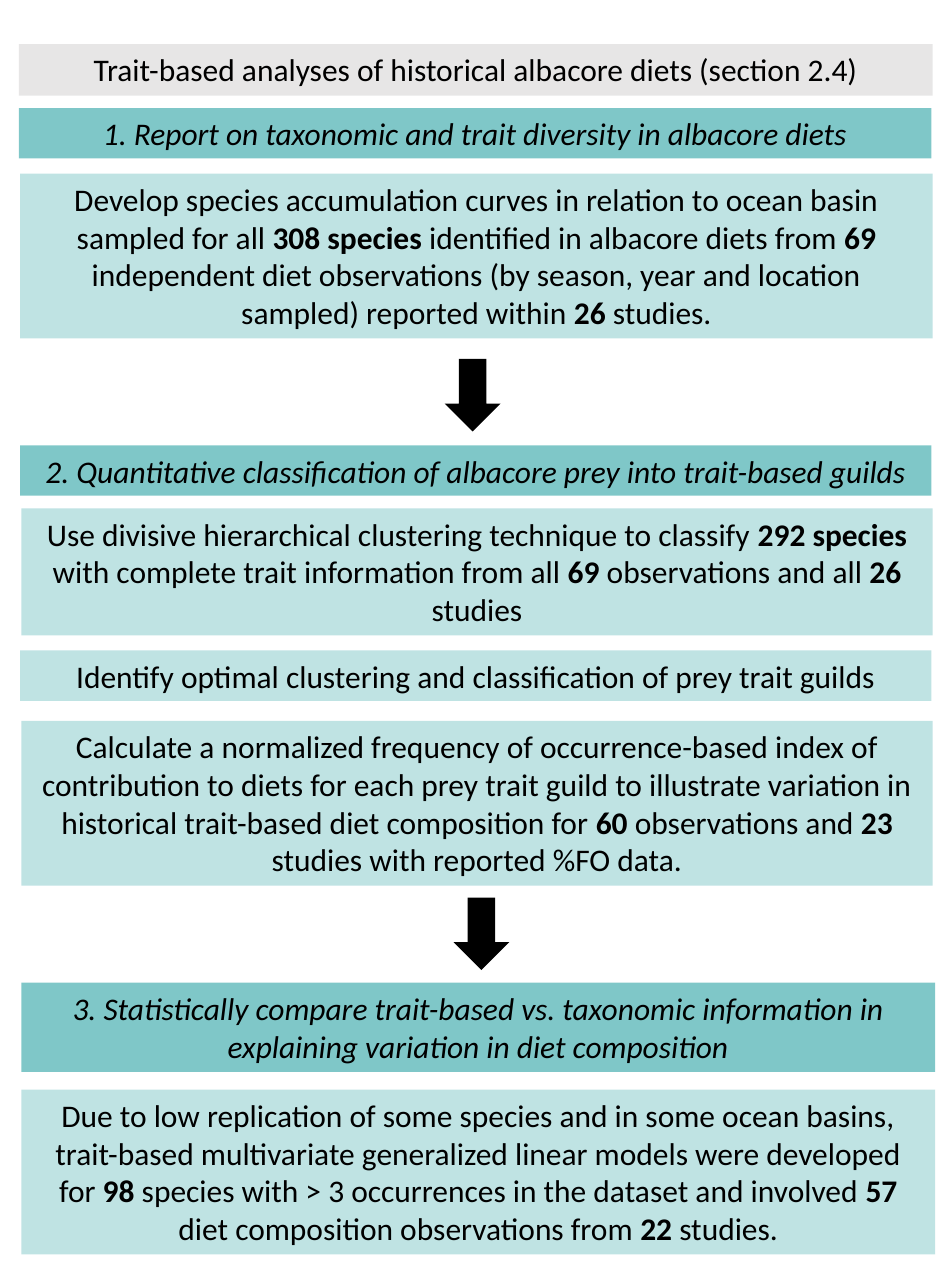
from pptx import Presentation, util as u
from pptx.dml.color import RGBColor
from pptx.enum import shapes, text
from pptx.oxml.ns import qn
from lxml import etree

TEAL = RGBColor(0x00, 0x91, 0x93)
GREY = RGBColor(0xD0, 0xCE, 0xCE)
BLACK = RGBColor(0, 0, 0)


class Chart:
    def __init__(self, slide, font, size):
        self.slide = slide
        self.font = font
        self.size = u.Pt(size)

    def box(self, area, words, color, alpha, italic=False):
        box = self.slide.shapes.add_textbox(*map(u.Inches, area))
        box.fill.solid()
        box.fill.fore_color.rgb = color
        tint = box.element.spPr.find(qn("a:solidFill"))[0]
        etree.SubElement(tint, qn("a:alpha"), val=str(alpha * 1000))
        frame = box.text_frame
        frame.word_wrap = True
        frame.auto_size = text.MSO_AUTO_SIZE.SHAPE_TO_FIT_TEXT
        para = frame.paragraphs[0]
        para.alignment = text.PP_ALIGN.CENTER
        for i, part in enumerate(words.split("*")):
            run = para.add_run()
            run.text = part
            run.font.name = self.font
            run.font.size = self.size
            run.font.color.rgb = BLACK
            run.font.bold = i % 2 == 1
            run.font.italic = italic

    def title(self, area, words):
        self.box(area, words, GREY, 50)

    def head(self, area, words):
        self.box(area, words, TEAL, 50, True)

    def step(self, area, words):
        self.box(area, words, TEAL, 25)

    def arrow(self, left, top):
        area = map(u.Inches, (left, top, 0.41, 0.56))
        arrow = self.slide.shapes.add_shape(shapes.MSO_SHAPE.DOWN_ARROW, *area)
        arrow.shadow.inherit = False
        arrow.fill.solid()
        arrow.fill.fore_color.rgb = BLACK
        arrow.line.color.rgb = BLACK
        arrow.line.width = u.Pt(1)
        edge = arrow.element.spPr.find(qn("a:ln"))
        etree.SubElement(edge, qn("a:miter"), lim="800000")


deck = Presentation()
deck.slide_width = u.Inches(7.5)
deck.slide_height = u.Cm(26)
flow = Chart(deck.slides.add_slide(deck.slide_layouts[6]), "Calibri", 18)

flow.head((0.15, 0.86, 7.25, 0.4),
          "1. Report on taxonomic and trait diversity in albacore diets")
flow.step((0.16, 1.38, 7.25, 1.31),
          "Develop species accumulation curves in relation to ocean basin "
          "sampled for all *308 species* identified in albacore diets from "
          "*69* independent diet observations (by season, year and location "
          "sampled) reported within *26* studies.")
flow.title((0.15, 0.35, 7.26, 0.41),
           "Trait-based analyses of historical albacore diets (section 2.4)")
flow.head((0.16, 3.54, 7.24, 0.4),
          "2. Quantitative classification of albacore prey into "
          "trait-based guilds")
flow.head((0.17, 7.81, 7.26, 0.71),
          "3. Statistically compare trait-based vs. taxonomic information in "
          "explaining variation in diet composition")
flow.step((0.17, 4.04, 7.24, 1.01),
          "Use divisive hierarchical clustering technique to classify "
          "*292 species* with complete trait information from all *69 *"
          "observations and all *26 *studies")
flow.step((0.17, 5.73, 7.24, 1.31),
          "Calculate a normalized frequency of occurrence-based index of "
          "contribution to diets for each prey trait guild to illustrate "
          "variation in historical trait-based diet composition for *60 *"
          "observations and *23 *studies with reported %FO data.")
flow.step((0.17, 8.66, 7.26, 1.31),
          "Due to low replication of some species and in some ocean basins, "
          "trait-based multivariate generalized linear models were developed "
          "for *98 *species with > 3 occurrences in the dataset and involved"
          "* 57 *diet composition observations from *22 *studies.")
flow.arrow(3.55, 2.86)
flow.step((0.16, 5.17, 7.24, 0.4),
          "Identify optimal clustering and classification of prey trait guilds")
flow.arrow(3.62, 7.14)

deck.save("out.pptx")
